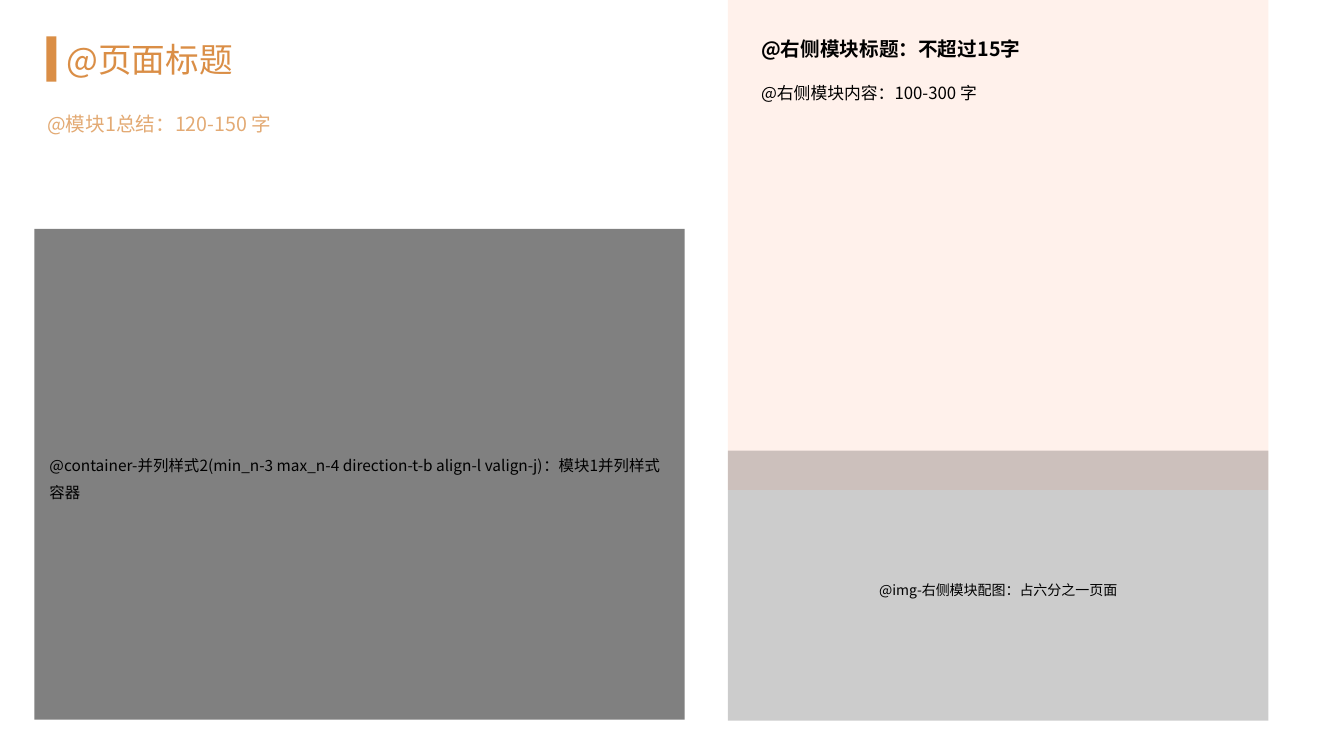
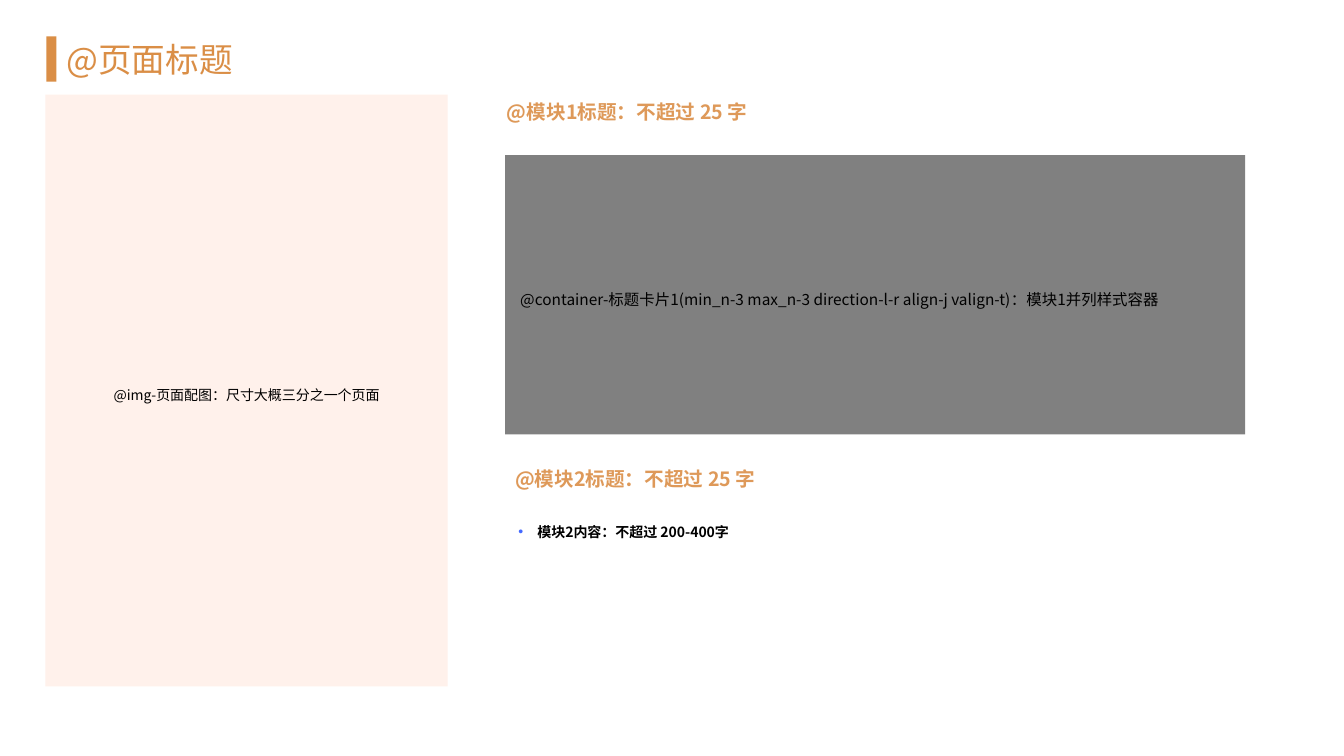
from lxml.etree import SubElement
from pptx import Presentation
from pptx.dml.color import RGBColor
from pptx.enum.shapes import MSO_SHAPE
from pptx.enum.text import MSO_ANCHOR, MSO_AUTO_SIZE, PP_ALIGN
from pptx.oxml.ns import qn
from pptx.util import Inches, Pt

FONT = "Noto Sans CJK SC"
ORANGE, HEADING, SUMMARY = "DA8E46", "DE9959", "E3AA74"
BLACK, GRAY, PINK, BULLET = "000000", "808080", "FFF1EB", "4469FF"


def write(sp, text, size, color=BLACK, bold=False, spacing=1.0,
          align=PP_ALIGN.LEFT, anchor=MSO_ANCHOR.TOP, inset=None):
    """Put one styled paragraph into a shape and return the paragraph."""
    tf = sp.text_frame
    tf.text = text
    tf.word_wrap = True
    tf.auto_size = MSO_AUTO_SIZE.NONE
    tf.vertical_anchor = anchor
    if inset is not None:
        tf.margin_left = tf.margin_right = Inches(inset)
        tf.margin_top = tf.margin_bottom = Inches(inset)
    p = tf.paragraphs[0]
    p.alignment = align
    p.line_spacing = spacing
    p.space_before = Pt(0)
    font = p.runs[0].font
    font.name, font.size, font.bold = FONT, Pt(size), bold
    font.color.rgb = RGBColor.from_string(color)
    SubElement(p.runs[0].font._element, qn("a:ea")).set("typeface", FONT)
    return p


def block(s, x, y, w, h, color):
    """Add a plain filled rectangle."""
    sp = s.shapes.add_shape(MSO_SHAPE.RECTANGLE, Inches(x), Inches(y), Inches(w), Inches(h))
    sp.shadow.inherit = False
    sp.fill.solid()
    sp.fill.fore_color.rgb = RGBColor.from_string(color)
    sp.line.fill.background()
    return sp


prs = Presentation()
prs.slide_width, prs.slide_height = Inches(13.33), Inches(7.5)
summary_slide = prs.slides.add_slide(prs.slide_layouts[5])
cards_slide = prs.slides.add_slide(prs.slide_layouts[1])

# Shared title place and accent bar, on the slide master
master = prs.slide_master
title = next(sp for sp in master.placeholders if sp.name.startswith("Title"))
title.left, title.top = Inches(0.56), Inches(0.28)
title.width, title.height = Inches(12.22), Inches(0.61)
bar = block(summary_slide, 0.46, 0.36, 0.1, 0.45, ORANGE)
master.shapes.element.append(bar.element)

for s in prs.slides:
    write(s.shapes.title, "@页面标题", 24, ORANGE, anchor=MSO_ANCHOR.MIDDLE)

# Right panel with a translucent image area at its foot
s = summary_slide
block(s, 7.22, 0, 5.36, 4.86, PINK)
image_area = block(s, 7.22, 4.47, 5.36, 2.68, BLACK)
rgb = image_area.element.spPr.find(qn("a:solidFill")).find(qn("a:srgbClr"))
SubElement(rgb, qn("a:alpha")).set("val", "20000")

# Image areas
photo_area = block(cards_slide, 0.45, 0.94, 3.99, 5.87, PINK)
for sp, text in [
    (image_area, "@img-右侧模块配图：占六分之一页面"),
    (photo_area, "@img-页面配图：尺寸大概三分之一个页面"),
]:
    write(sp, text, 10, spacing=1.5, align=PP_ALIGN.CENTER, anchor=MSO_ANCHOR.MIDDLE)

# Gray containers
for s, box, text in [
    (summary_slide, (0.34, 2.27, 6.45, 4.87),
     "@container-并列样式2(min_n-3 max_n-4 direction-t-b align-l valign-j)：模块1并列样式容器"),
    (cards_slide, (5.01, 1.54, 7.34, 2.77),
     "@container-标题卡片1(min_n-3 max_n-3 direction-l-r align-j valign-t)：模块1并列样式容器"),
]:
    write(block(s, *box, GRAY), text, 11, spacing=1.5, anchor=MSO_ANCHOR.MIDDLE, inset=0.15)

# Headings and running text
for s, box, text, style in [
    (summary_slide, (0.37, 0.94, 6.37, 1.22), "@模块1总结：120-150 字",
     dict(size=14, color=SUMMARY, spacing=1.5)),
    (summary_slide, (7.45, 0.3, 4.91, 0.36), "@右侧模块标题：不超过15字",
     dict(size=14, bold=True, anchor=MSO_ANCHOR.MIDDLE)),
    (summary_slide, (7.45, 0.67, 4.89, 3.62), "@右侧模块内容：100-300 字",
     dict(size=12, spacing=1.5)),
    (cards_slide, (4.93, 0.94, 6.37, 0.53), "@模块1标题：不超过 25 字",
     dict(size=14, color=HEADING, bold=True)),
    (cards_slide, (5.01, 4.58, 6.37, 0.44), "@模块2标题：不超过 25 字",
     dict(size=14, color=HEADING, bold=True)),
]:
    write(s.shapes.add_textbox(*map(Inches, box)), text, **style)

# Bulleted list
body = cards_slide.placeholders[1]
body.left, body.top, body.width, body.height = map(Inches, (5.04, 5.06, 7.22, 1.8))
p = write(body, "模块2内容：不超过 200-400字", 10, bold=True, spacing=1.5)
pPr = p._p.get_or_add_pPr()
pPr.set("marL", str(Inches(0.19)))
pPr.set("indent", str(Inches(-0.19)))
SubElement(SubElement(pPr, qn("a:buClr")), qn("a:srgbClr")).set("val", BULLET)
SubElement(pPr, qn("a:buChar")).set("char", "•")

prs.save("out.pptx")
